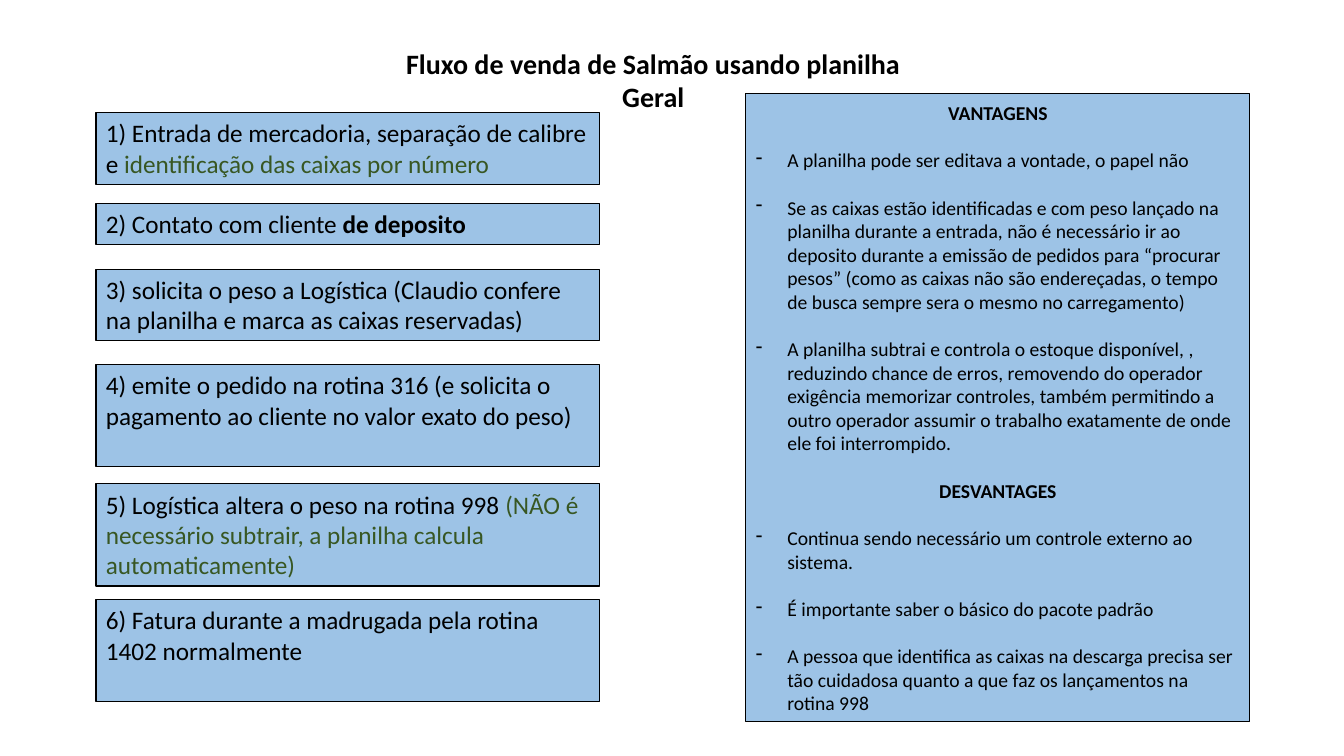
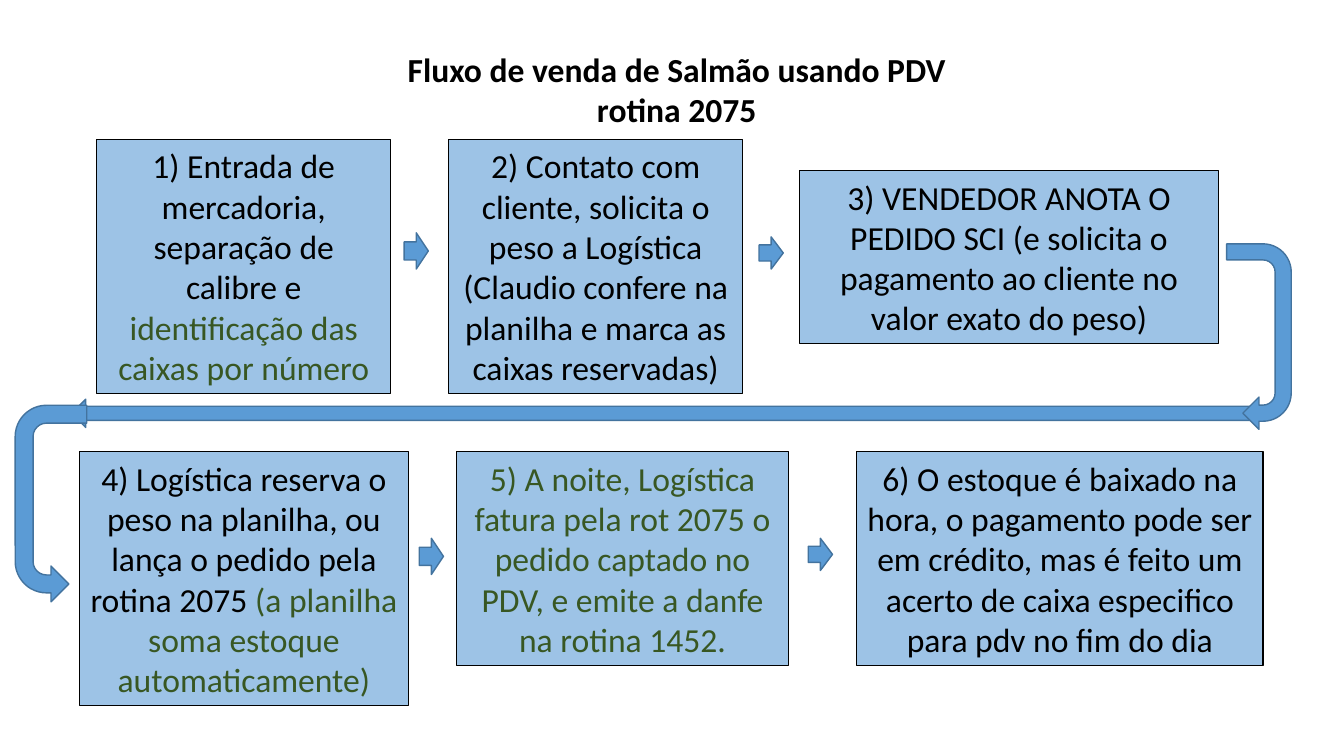
from dataclasses import dataclass

from lxml import etree
from pptx import Presentation
from pptx.dml.color import RGBColor
from pptx.enum.shapes import MSO_SHAPE
from pptx.enum.text import MSO_ANCHOR, MSO_AUTO_SIZE, PP_ALIGN
from pptx.oxml.ns import qn
from pptx.util import Pt

RECT = MSO_SHAPE.RECTANGLE
RIGHT = MSO_SHAPE.RIGHT_ARROW
BACK = MSO_SHAPE.LEFT_ARROW
TURN = MSO_SHAPE.U_TURN_ARROW
TOP, MIDDLE = MSO_ANCHOR.TOP, MSO_ANCHOR.MIDDLE
FIXED = MSO_AUTO_SIZE.NONE
LEFT, CENTER = PP_ALIGN.LEFT, PP_ALIGN.CENTER
TITLE_ONLY = 5


@dataclass(frozen=True)
class Theme:
    font: str = "Calibri"
    ink: RGBColor = RGBColor.from_string("000000")
    note: RGBColor = RGBColor.from_string("385723")
    box: RGBColor = RGBColor.from_string("9DC3E6")
    arrow: RGBColor = RGBColor.from_string("5B9BD5")
    edge: RGBColor = RGBColor.from_string("43739E")
    large: float = 24
    head: float = 20
    step: float = 18
    small: float = 14
    gap: float = 17
    indent: float = 22.5


THEME = Theme()


def plain(text):
    return text, THEME.ink, False


def note(text):
    return text, THEME.note, False


def strong(text):
    return text, THEME.ink, True


SHEET_STEPS = [
    (80.6, 51, [plain("1) Entrada de mercadoria, separação de calibre e "),
                note("identificação das caixas por número")]),
    (145.4, 29, [plain("2) Contato com cliente "), strong("de deposito")]),
    (192.2, 51, [plain("3) solicita o peso a Logística (Claudio confere na "
                       "planilha e marca as caixas reservadas)")]),
    (260.6, 73, [plain("4) emite o pedido na rotina 316 (e solicita o "
                       "pagamento ao cliente no valor exato do peso)")]),
    (345.6, 73, [plain("5) Logística altera o peso na rotina 998 "),
                 note("(NÃO é necessário subtrair, a planilha calcula "
                      "automaticamente)")]),
    (428.4, 73, [plain("6) Fatura durante a madrugada pela rotina 1402 "
                       "normalmente")]),
]

REVIEW = [
    ("VANTAGENS", [
        "A planilha pode ser editava a vontade, o papel não",
        "Se as caixas estão identificadas e com peso lançado na planilha "
        "durante a entrada, não é necessário ir ao deposito durante a emissão "
        "de pedidos para “procurar pesos” (como as caixas não são endereçadas, "
        "o tempo de busca sempre sera o mesmo no carregamento)",
        "A planilha subtrai e controla o estoque disponível, , reduzindo "
        "chance de erros, removendo do operador exigência memorizar controles, "
        "também permitindo a outro operador assumir o trabalho exatamente de "
        "onde ele foi interrompido.",
    ]),
    ("DESVANTAGES", [
        "Continua sendo necessário um controle externo ao sistema.",
        "É importante saber o básico do pacote padrão",
        "A pessoa que identifica as caixas na descarga precisa ser tão "
        "cuidadosa quanto a que faz os lançamentos na rotina 998",
    ]),
]

SALE_STEPS = [
    ((69, 99.4, 210.2, 181.4),
     [plain("1) Entrada de mercadoria, separação de calibre e "),
      note("identificação das caixas por número")]),
    ((320.4, 99.4, 210.2, 181.4),
     [plain("2) Contato com cliente, solicita o peso a Logística (Claudio "
            "confere na planilha e marca as caixas reservadas)")]),
    ((571, 121.7, 299.5, 123.8),
     [plain("3) VENDEDOR ANOTA O PEDIDO SCI (e solicita o pagamento ao "
            "cliente no valor exato do peso)")]),
    ((56.9, 322.6, 234.7, 181.4),
     [plain("4) Logística reserva o peso na planilha, ou lança o pedido pela "
            "rotina 2075 "),
      note("(a planilha soma estoque automaticamente)")]),
    ((326.2, 322.6, 236.9, 152.6),
     [note("5) A noite, Logística fatura pela rot 2075 o pedido captado no "
           "PDV, e emite a danfe na rotina 1452.")]),
    ((612, 322.6, 290.2, 152.6),
     [plain("6) O estoque é baixado na hora, o pagamento pode ser em crédito, "
            "mas é feito um acerto de caixa especifico para pdv no fim do "
            "dia")]),
]

NEXT_ARROWS = [
    (288.7, 166.3, 17.3, 25.9),
    (542.2, 169.2, 17.3, 23),
    (299.5, 384.5, 17.3, 25.9),
    (577.4, 384.5, 17.3, 23),
]


def style(para, size, align, bold=False):
    para.alignment = align
    para.line_spacing = 1.0
    font = para.font
    font.name, font.size, font.bold = THEME.font, Pt(size), bold
    font.color.rgb = THEME.ink


def write(para, runs):
    for text, color, bold in runs:
        run = para.add_run()
        run.text = text
        if color != THEME.ink:
            run.font.color.rgb = color
        if bold:
            run.font.bold = True


def dash(para):
    """Give the paragraph a hanging dash bullet."""
    props = para._p.get_or_add_pPr()
    props.set("marL", str(Pt(THEME.indent)))
    props.set("indent", str(-Pt(THEME.indent)))
    etree.SubElement(props, qn("a:buChar")).set("char", "-")


def add_title(slide, frame, text, size):
    title = slide.shapes.title
    title.left, title.top, title.width, title.height = map(Pt, frame)
    body = title.text_frame
    body.text = text
    body.word_wrap = True
    body.auto_size = FIXED
    body.vertical_anchor = TOP
    style(body.paragraphs[0], size, CENTER, True)


def add_shape(slide, kind, frame, fill, line, width):
    shape = slide.shapes.add_shape(kind, *map(Pt, frame))
    shape.shadow.inherit = False
    shape.fill.solid()
    shape.fill.fore_color.rgb = fill
    shape.line.color.rgb = line
    shape.line.width = Pt(width)
    return shape


def add_box(slide, frame, anchor=MIDDLE):
    """Add a bordered box and return its text frame."""
    box = add_shape(slide, RECT, frame, THEME.box, THEME.ink, 0.75)
    body = box.text_frame
    body.word_wrap = True
    body.vertical_anchor = anchor
    return body


def add_step(slide, frame, runs, size, align, anchor=MIDDLE):
    para = add_box(slide, frame, anchor).paragraphs[0]
    style(para, size, align)
    write(para, runs)


def add_arrow(slide, kind, frame, turn=0, flip=False):
    arrow = add_shape(slide, kind, frame, THEME.arrow, THEME.edge, 1)
    arrow.rotation = turn
    if flip:
        arrow.element.spPr.get_or_add_xfrm().set("flipV", "1")


def add_review(slide, frame):
    body = add_box(slide, frame)
    lines = [(text, text == head)
             for head, points in REVIEW for text in (head, *points)]
    for index, (text, is_head) in enumerate(lines):
        para = body.add_paragraph() if index else body.paragraphs[0]
        if not is_head:
            dash(para)
        if index:
            para.space_before = Pt(THEME.gap)
        style(para, THEME.small, CENTER if is_head else LEFT, is_head)
        write(para, [plain(text)])


def draw_sheet(slide):
    add_title(slide, (273.6, 29.5, 386, 55.4),
              "Fluxo de venda de Salmão usando planilha Geral", THEME.head)
    for top, height, runs in SHEET_STEPS:
        add_step(slide, (68.6, top, 360, height), runs, THEME.step, LEFT, TOP)
    add_review(slide, (532.8, 67, 360, 448.6))


def draw_sale(slide):
    add_title(slide, (260.6, 31, 445.7, 65.5),
              "Fluxo de venda de Salmão usando PDV rotina 2075", THEME.large)
    for frame, runs in SALE_STEPS:
        add_step(slide, frame, runs, THEME.large, CENTER)
    for frame in NEXT_ARROWS:
        add_arrow(slide, RIGHT, frame)
    add_arrow(slide, BACK, (51.1, 285.1, 848.2, 20.2))
    add_arrow(slide, TURN, (833, 217.4, 132.5, 46.1), 90)
    add_arrow(slide, TURN, (-33.8, 334.1, 140.4, 51.1), 90, True)


def main():
    deck = Presentation()
    deck.slide_width, deck.slide_height = Pt(960), Pt(540)
    for draw in (draw_sheet, draw_sale):
        draw(deck.slides.add_slide(deck.slide_layouts[TITLE_ONLY]))
    deck.save("out.pptx")


if __name__ == "__main__":
    main()
